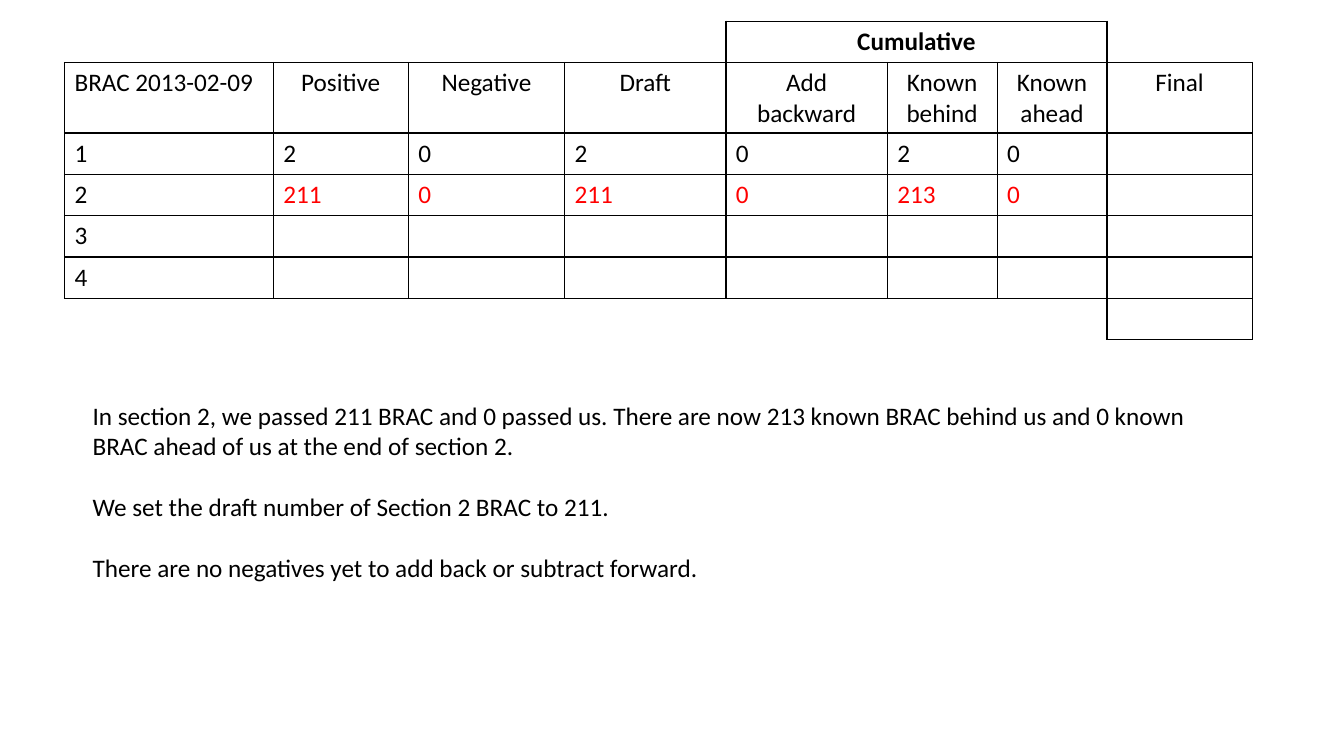
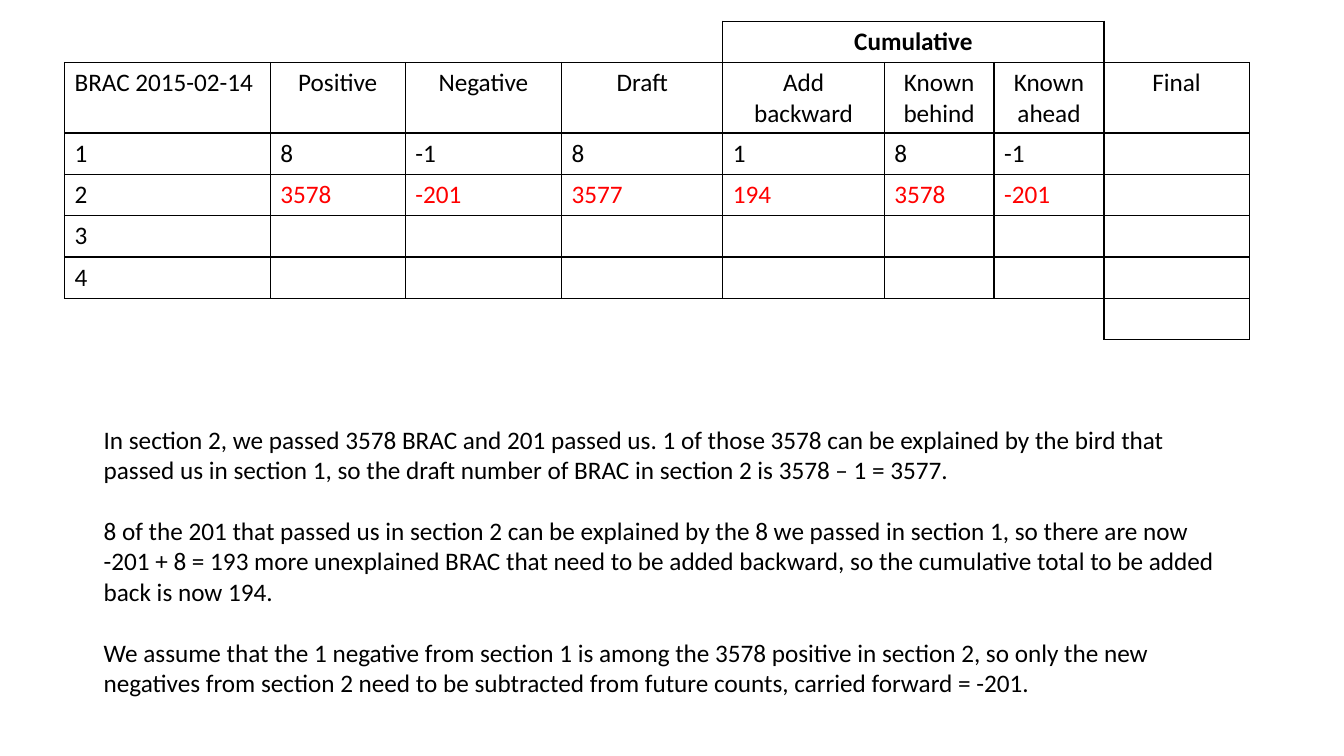
from dataclasses import dataclass

from lxml import etree
from pptx import Presentation
from pptx.dml.color import RGBColor
from pptx.enum import text
from pptx.oxml import ns
from pptx.util import Inches, Pt


@dataclass(frozen=True)
class Theme:
    font: str = "Calibri"
    size: float = 18
    paragraph_gap: float = 22
    ink: str = "000000"
    highlight: str = "FF0000"
    border_width: float = 1


@dataclass(frozen=True)
class Box:
    left: float
    top: float
    width: float
    height: float


@dataclass(frozen=True)
class CountSlide:
    heading: str
    first_column: float
    section_counts: tuple[tuple[str, ...], ...]
    explanation_box: Box
    explanation: tuple[str, ...]


THEME = Theme()
NO_GRID_STYLE = "{2D5ABB26-0587-4C30-8999-92F81FD0307C}"
TABLE_LEFT, TABLE_TOP = 0.64, 0.21
ROW_HEIGHT, HEADING_HEIGHT = 0.41, 0.67
COUNT_COLUMNS = (1.34, 1.55, 1.6, 1.6, 1.09, 1.09, 1.44)
COUNT_HEADINGS = ("Positive", "Negative", "Draft", "Add backward",
                  "Known behind", "Known ahead", "Final")
SECTIONS = 4
CURRENT_SECTION = 2
ROWS = SECTIONS + 3
COLUMNS = len(COUNT_COLUMNS) + 1
HEADING_ROW = 1
CUMULATIVE_FIRST, CUMULATIVE_LAST = 4, 6
SIDES = {"lnL": (0, -1), "lnR": (0, 1), "lnT": (-1, 0), "lnB": (1, 0)}

COUNT_SLIDES = (
    CountSlide(
        "BRAC 2013-02-09", 2.07,
        (("2", "0", "2", "0", "2", "0"),
         ("211", "0", "211", "0", "213", "0")),
        Box(0.82, 3.92, 11.41, 1.92),
        ("In section 2, we passed 211 BRAC and 0 passed us. There are now 213 known "
         "BRAC behind us and 0 known BRAC ahead of us at the end of section 2.",
         "We set the draft number of Section 2 BRAC to 211.",
         "There are no negatives yet to add back or subtract forward."),
    ),
    CountSlide(
        "BRAC 2015-02-14", 2.04,
        (("8", "-1", "8", "1", "8", "-1"),
         ("3578", "-201", "3577", "194", "3578", "-201")),
        Box(0.93, 4.16, 11.24, 2.83),
        ("In section 2, we passed 3578 BRAC and 201 passed us. 1 of those 3578 can be "
         "explained by the bird that passed us in section 1, so the draft number of "
         "BRAC in section 2 is 3578 – 1 = 3577.",
         "8 of the 201 that passed us in section 2 can be explained by the 8 we passed "
         "in section 1, so there are now -201 + 8 = 193 more unexplained BRAC that need "
         "to be added backward, so the cumulative total to be added back is now 194.",
         "We assume that the 1 negative from section 1 is among the 3578 positive in "
         "section 2, so only the new negatives from section 2 need to be subtracted "
         "from future counts, carried forward = -201."),
    ),
)


def write(paragraph, content: str, *, color: str = THEME.ink, bold: bool = False,
          centered: bool = False, gap_before: float = 0) -> None:
    paragraph.alignment = text.PP_ALIGN.CENTER if centered else text.PP_ALIGN.LEFT
    paragraph.space_before = Pt(gap_before)
    run = paragraph.add_run()
    run.text = content
    run.font.name = THEME.font
    run.font.size = Pt(THEME.size)
    run.font.bold = bold
    run.font.color.rgb = RGBColor.from_string(color)


def is_framed(row: int, column: int) -> bool:
    if not (0 <= row < ROWS and 0 <= column < COLUMNS):
        return False
    if row == 0:
        return CUMULATIVE_FIRST <= column <= CUMULATIVE_LAST
    return row < ROWS - 1 or column == COLUMNS - 1


def draw_borders(cell, row: int, column: int) -> None:
    properties = cell._tc.get_or_add_tcPr()
    for side, (down, across) in SIDES.items():
        line = etree.SubElement(properties, ns.qn(f"a:{side}"))
        if is_framed(row, column) or is_framed(row + down, column + across):
            line.set("w", str(Pt(THEME.border_width)))
            fill = etree.SubElement(line, ns.qn("a:solidFill"))
            etree.SubElement(fill, ns.qn("a:srgbClr"), val=THEME.ink)
        else:
            etree.SubElement(line, ns.qn("a:noFill"))
    cell.fill.background()


def add_count_table(slide, content: CountSlide) -> None:
    widths = (content.first_column, *COUNT_COLUMNS)
    heights = [HEADING_HEIGHT if row == HEADING_ROW else ROW_HEIGHT for row in range(ROWS)]
    table = slide.shapes.add_table(
        ROWS, COLUMNS, Inches(TABLE_LEFT), Inches(TABLE_TOP),
        Inches(sum(widths)), Inches(sum(heights))).table
    table.first_row = table.horz_banding = False
    table._tbl.tblPr.find(ns.qn("a:tableStyleId")).text = NO_GRID_STYLE
    for column, width in zip(table.columns, widths):
        column.width = Inches(width)
    for row, height in zip(table.rows, heights):
        row.height = Inches(height)
    for row in range(ROWS):
        for column in range(COLUMNS):
            draw_borders(table.cell(row, column), row, column)

    def fill_cell(row: int, column: int, value: str, **style) -> None:
        write(table.cell(row, column).text_frame.paragraphs[0], value, **style)

    table.cell(0, CUMULATIVE_FIRST).merge(table.cell(0, CUMULATIVE_LAST))
    fill_cell(0, CUMULATIVE_FIRST, "Cumulative", bold=True, centered=True)
    fill_cell(HEADING_ROW, 0, content.heading)
    for column, heading in enumerate(COUNT_HEADINGS, 1):
        fill_cell(HEADING_ROW, column, heading, centered=True)
    for section in range(1, SECTIONS + 1):
        fill_cell(HEADING_ROW + section, 0, str(section))
    for section, counts in enumerate(content.section_counts, 1):
        color = THEME.highlight if section == CURRENT_SECTION else THEME.ink
        for column, count in enumerate(counts, 1):
            fill_cell(HEADING_ROW + section, column, count, color=color)


def add_explanation(slide, box: Box, explanation: tuple[str, ...]) -> None:
    frame = slide.shapes.add_textbox(
        Inches(box.left), Inches(box.top), Inches(box.width), Inches(box.height)).text_frame
    frame.word_wrap = True
    frame.auto_size = text.MSO_AUTO_SIZE.SHAPE_TO_FIT_TEXT
    for index, sentence in enumerate(explanation):
        paragraph = frame.add_paragraph() if index else frame.paragraphs[0]
        write(paragraph, sentence, gap_before=THEME.paragraph_gap if index else 0)


def main() -> None:
    presentation = Presentation()
    presentation.slide_width = Inches(13.33)
    presentation.slide_height = Inches(7.5)
    blank_layout = presentation.slide_layouts[6]
    for content in COUNT_SLIDES:
        slide = presentation.slides.add_slide(blank_layout)
        add_explanation(slide, content.explanation_box, content.explanation)
        add_count_table(slide, content)
    presentation.save("out.pptx")


if __name__ == "__main__":
    main()
